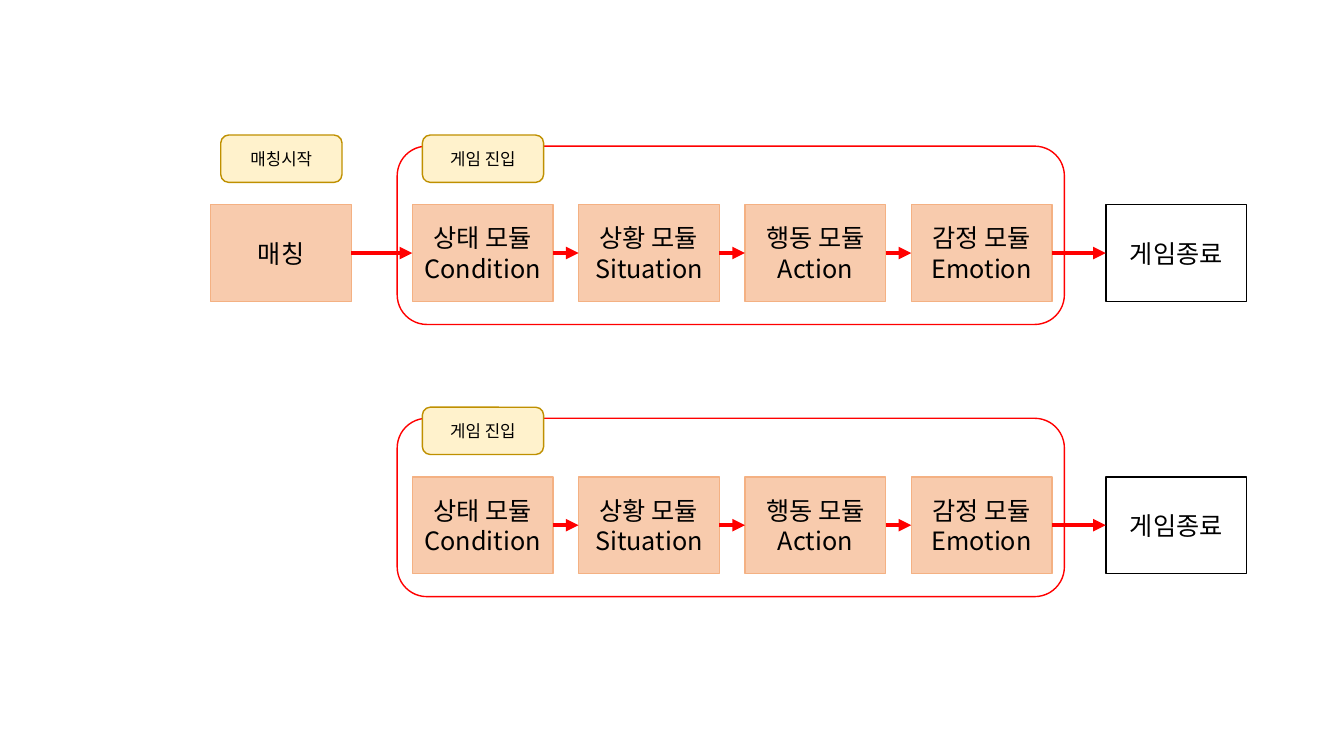
from lxml import etree
from pptx import Presentation
from pptx.dml.color import RGBColor
from pptx.enum.shapes import MSO_CONNECTOR, MSO_SHAPE
from pptx.enum.text import MSO_ANCHOR, PP_ALIGN
from pptx.oxml.ns import qn
from pptx.util import Pt

RECT = MSO_SHAPE.RECTANGLE
ROUND = MSO_SHAPE.ROUNDED_RECTANGLE
FRAME = MSO_SHAPE.FLOWCHART_ALTERNATE_PROCESS
LINE = MSO_CONNECTOR.STRAIGHT
MIDDLE = MSO_ANCHOR.MIDDLE
CENTER = PP_ALIGN.CENTER

FONT = "Noto Sans CJK KR"
RED, BLACK, WHITE = "FF0000", "000000", "FFFFFF"
PEACH, ORANGE = "F8CBAD", "F4B183"
CREAM, GOLD = "FFF2CC", "BF9000"
LEFT_SITE, RIGHT_SITE = 1, 3

BOX_W, BOX_H = 100.5, 69.1
TAG_W, TAG_H = 86.6, 33.8
TAG_IN, TAG_UP = 7.2, 49.7
STEP = 118.8
MODULES = ["상태 모듈\nCondition", "상황 모듈\nSituation",
           "행동 모듈\nAction", "감정 모듈\nEmotion"]


def color(code):
    """Turn a hex string into a colour."""
    return RGBColor.from_string(code)


def draw(slide, kind, x, y, w, h, fill, edge):
    """Add a flat shape with a fill and a thin edge."""
    shape = slide.shapes.add_shape(kind, Pt(x), Pt(y), Pt(w), Pt(h))
    shape.shadow.inherit = False
    shape.fill.solid()
    shape.fill.fore_color.rgb = color(fill)
    shape.line.color.rgb = color(edge)
    shape.line.width = Pt(1)
    return shape


def label(shape, text, size):
    """Write centred black text into a shape."""
    frame = shape.text_frame
    frame.text = text
    frame.word_wrap = True
    frame.vertical_anchor = MIDDLE
    for para in frame.paragraphs:
        para.alignment = CENTER
        for run in para.runs:
            run.font.size = Pt(size)
            run.font.name = FONT
            run.font.color.rgb = color(BLACK)
            east = etree.SubElement(run.font._element, qn("a:ea"))
            east.set("typeface", FONT)


def node(slide, x, y, text, fill=PEACH, edge=ORANGE):
    """Add one step of the flow."""
    shape = draw(slide, RECT, x, y, BOX_W, BOX_H, fill, edge)
    label(shape, text, 18)
    return shape


def tag(slide, x, y, text):
    """Add the rounded tag above the step at x, y."""
    shape = draw(slide, ROUND, x + TAG_IN, y - TAG_UP, TAG_W, TAG_H,
                 CREAM, GOLD)
    label(shape, text, 12)


def arrow(slide, start, end):
    """Join two steps with a red arrow."""
    line = slide.shapes.add_connector(LINE, 0, 0, 0, 0)
    line.begin_connect(start, RIGHT_SITE)
    line.end_connect(end, LEFT_SITE)
    line.line.color.rgb = color(RED)
    line.line.width = Pt(3)
    tip = etree.SubElement(line.line._get_or_add_ln(), qn("a:tailEnd"))
    tip.set("type", "triangle")
    etree.SubElement(line._element.spPr, qn("a:effectLst"))


def game(slide, x, y, w, h):
    """Draw a framed game round with its exit and return its steps."""
    draw(slide, FRAME, x, y, w, h, WHITE, RED)
    left, top = x + 10.8, y + 41.8
    steps = [node(slide, left + i * STEP, top, text)
             for i, text in enumerate(MODULES)]
    tag(slide, left, top, "게임 진입")
    steps.append(node(slide, x + w + 29.6, top, "게임종료", WHITE, BLACK))
    for start, end in zip(steps, steps[1:]):
        arrow(slide, start, end)
    return steps


def match(slide, x, y, target):
    """Draw the matching step that leads to the target."""
    start = node(slide, x, y, "매칭")
    tag(slide, x, y, "매칭시작")
    arrow(slide, start, target)


def main():
    """Build the slide and save it."""
    deck = Presentation()
    deck.slide_width, deck.slide_height = Pt(960), Pt(540)
    slide = deck.slides.add_slide(deck.slide_layouts[6])
    first, _ = [game(slide, 283.7, top, 476.6, 127.4)
                for top in (104.4, 298.8)]
    match(slide, 150.5, 146.2, first[0])
    deck.save("out.pptx")


if __name__ == "__main__":
    main()
